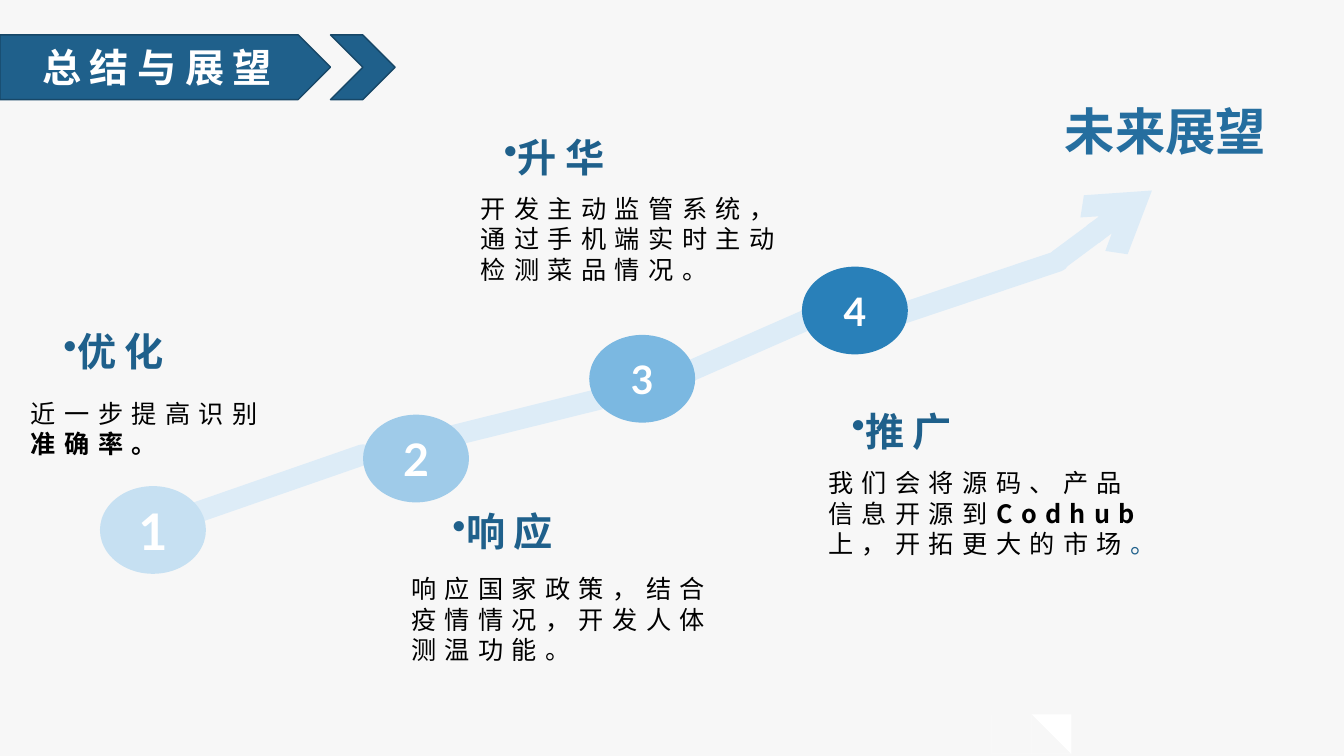
"""Build the summary and outlook slide: a rising path with four numbered steps."""
from itertools import pairwise
from math import cos, dist, pi, sin

from lxml.etree import SubElement
from pptx import Presentation
from pptx.dml.color import RGBColor
from pptx.enum.shapes import MSO_CONNECTOR, MSO_SHAPE
from pptx.enum.text import MSO_ANCHOR, MSO_AUTO_SIZE, PP_ALIGN
from pptx.oxml.ns import qn
from pptx.util import Cm, Pt

COLORS = {
    "background": "F7F7F7", "white": "FFFFFF", "black": "000000",
    "navy": "1F608B", "edge": "174767", "outlook": "256E9F", "path": "DDECF7",
    "step1": "C6E0F2", "step2": "9FCBE9", "step3": "7BB8E1", "step4": "2980B9",
}
RGB = {name: RGBColor.from_string(value) for name, value in COLORS.items()}
CHINESE_FONT = "Noto Sans CJK SC"


def write(frame, spans, size, color, bold=False, align=PP_ALIGN.LEFT,
          font=CHINESE_FONT, spacing=0):
    """Fill the first paragraph of a frame with spans in one style and return it."""
    frame.word_wrap = True
    para = frame.paragraphs[0]
    para.alignment = align
    para.font.size, para.font.name, para.font.bold = Pt(size), font, bold
    para.font.color.rgb = RGB[color]
    style = para._p.pPr.find(qn("a:defRPr"))
    style.set("spc", str(spacing * 100))
    SubElement(style, qn("a:ea")).set("typeface", font)
    for text in spans:
        para.add_run().text = text
    return para


def paint(shape, color):
    """Give a shape a plain fill without line or shadow."""
    shape.shadow.inherit = False
    shape.fill.solid()
    shape.fill.fore_color.rgb = RGB[color]
    shape.line.fill.background()


deck = Presentation()
deck.slide_width, deck.slide_height = Cm(33.87), Cm(19.05)
page = deck.slides.add_slide(deck.slide_layouts[5])
page.background.fill.solid()
page.background.fill.fore_color.rgb = RGB["background"]

path_segments = [
    ((4.62, 13.03), (9.14, 11.46)),
    ((9.47, 11.46), (15.42, 9.98)),
    ((22.05, 8.13), (26.67, 6.58)),
    ((16.64, 9.68), (20.65, 7.92)),
    ((26.67, 6.55), (29.03, 4.8)),
]
for start, end in path_segments:
    segment = page.shapes.add_connector(
        MSO_CONNECTOR.STRAIGHT, *(Cm(value) for value in (*start, *end)))
    segment.line.color.rgb = RGB["path"]
    segment.line.width = Pt(15)
    outline = segment._element.spPr.find(qn("a:ln"))
    outline.set("cap", "rnd")
    SubElement(segment._element.spPr, qn("a:effectLst"))
SubElement(outline, qn("a:tailEnd")).set("type", "arrow")

steps = [(2.52, 12.25, 36), (9.15, 10.45, 32), (14.85, 8.44, 28), (20.21, 6.72, 28)]
for number, (left, top, size) in enumerate(steps, 1):
    circle = page.shapes.add_shape(
        MSO_SHAPE.OVAL, Cm(left), Cm(top), Cm(2.67), Cm(2.21))
    paint(circle, f"step{number}")
    circle.text_frame.vertical_anchor = MSO_ANCHOR.MIDDLE
    write(circle.text_frame, [str(number)], size, "white", True,
          PP_ALIGN.CENTER, "Lato")

chart_icon_lines = [
    [(25.65, 18.49), (26.04, 18.64), (26.37, 18.24), (26.7, 18.57)],
    [(25.68, 19.07), (26.21, 18.85), (26.7, 19.0)],
]
contours = [[(25.33, 18.14), (25.38, 18.14), (25.38, 19.31), (26.82, 19.31),
             (26.82, 19.38), (25.33, 19.38)]]
for tick in range(10):
    y = 18.19 + tick * 0.1
    for x in (25.27, 25.38):
        contours.append([(x, y), (x + 0.06, y), (x + 0.06, y + 0.04), (x, y + 0.04)])
for points in chart_icon_lines:
    for x, y in points:
        contours.append([(x + 0.13 * cos(step * pi / 4), y + 0.11 * sin(step * pi / 4))
                         for step in range(8)])
    for (x1, y1), (x2, y2) in pairwise(points):
        length = dist((x1, y1), (x2, y2))
        along_x, along_y = (x2 - x1) / length, (y2 - y1) / length
        contours.append([
            (x1 + along_x * far - along_y * side, y1 + along_y * far + along_x * side)
            for far, side in ((0.12, -0.03), (length - 0.12, -0.03),
                              (length - 0.12, 0.03), (0.12, 0.03))])
builder = page.shapes.build_freeform(scale=Cm(1))
for first, *others in contours:
    builder.move_to(*first)
    builder.add_line_segments(others, close=True)
paint(builder.convert_to_shape(), "white")

outlook = page.shapes.add_textbox(Cm(24.38), Cm(2.41), Cm(9.98), Cm(1.8))
write(outlook.text_frame, ["未来展望"], 36, "outlook", True, PP_ALIGN.CENTER)

headings = [
    ("优化", 1.35, 8.13, 5.54),
    ("响应", 11.15, 12.67, 5.33),
    ("升华", 12.45, 3.23, 6.35),
    ("推广", 21.21, 10.13, 6.35),
]
for text, left, top, width in headings:
    box = page.shapes.add_textbox(Cm(left), Cm(top), Cm(width), Cm(1.45))
    para = write(box.text_frame, [text], 28, "navy", True, spacing=6)
    properties = para._p.pPr
    properties.set("marL", "0")
    properties.set("indent", str(-Cm(0.95)))
    bullet = SubElement(properties, qn("a:buChar"))
    bullet.set("char", "•")
    properties.find(qn("a:defRPr")).addprevious(bullet)

descriptions = [
    (["响应国家政策，结合疫情情况，开发人体测温功能。"], 10.11, 14.33, 8.28, 2.57),
    (["近一步提高识别", "准确率。"], 0.53, 9.91, 6.6, 1.8),
    (["开发主动监管系统，通过手机端实时主动检测菜品情况。"], 11.86, 4.75, 8.64, 2.57),
    (["我们会将源码、产品信息开源到", "Codhub", "上，开拓更大的市场", "。"],
     20.62, 11.66, 8.64, 2.57),
]
for spans, left, top, width, height in descriptions:
    box = page.shapes.add_textbox(Cm(left), Cm(top), Cm(width), Cm(height))
    para = write(box.text_frame, spans, 18, "black", spacing=6)
    for span in para.runs[1:2]:
        span.font.bold = True
para.runs[-1].font.color.rgb = RGB["navy"]

banner_parts = [(MSO_SHAPE.PENTAGON, 0, 8.33), (MSO_SHAPE.CHEVRON, 8.33, 1.63)]
for preset, left, width in banner_parts:
    part = page.shapes.add_shape(preset, Cm(left), Cm(0.88), Cm(width), Cm(1.63))
    paint(part, "navy")
    part.line.color.rgb = RGB["edge"]
    part.line.width = Pt(1)

title = page.shapes.title
title.left, title.top, title.width, title.height = Cm(0), Cm(0.88), Cm(7.92), Cm(1.63)
title.text_frame.auto_size = MSO_AUTO_SIZE.NONE
title.text_frame.vertical_anchor = MSO_ANCHOR.MIDDLE
write(title.text_frame, ["总结与展望"], 28, "white", True, PP_ALIGN.CENTER, spacing=6)
page.shapes._spTree.append(title._element)

deck.save("out.pptx")
